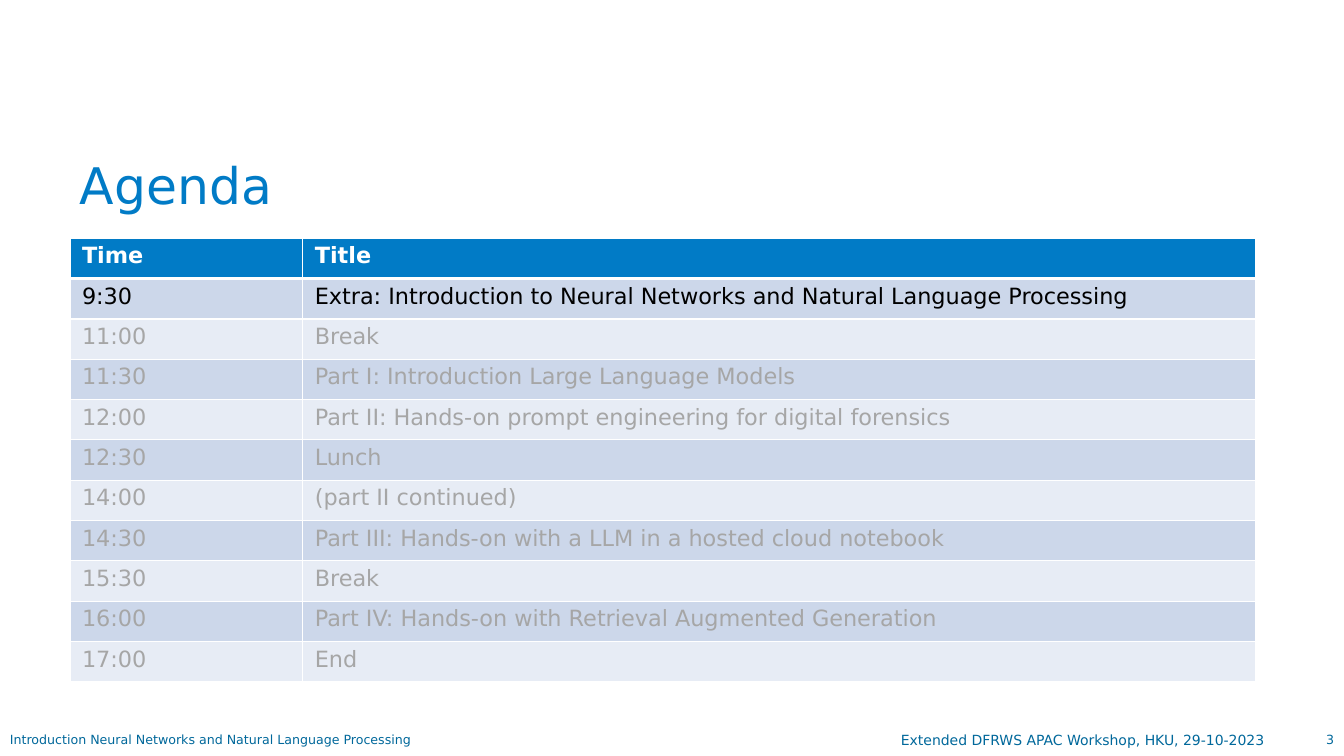
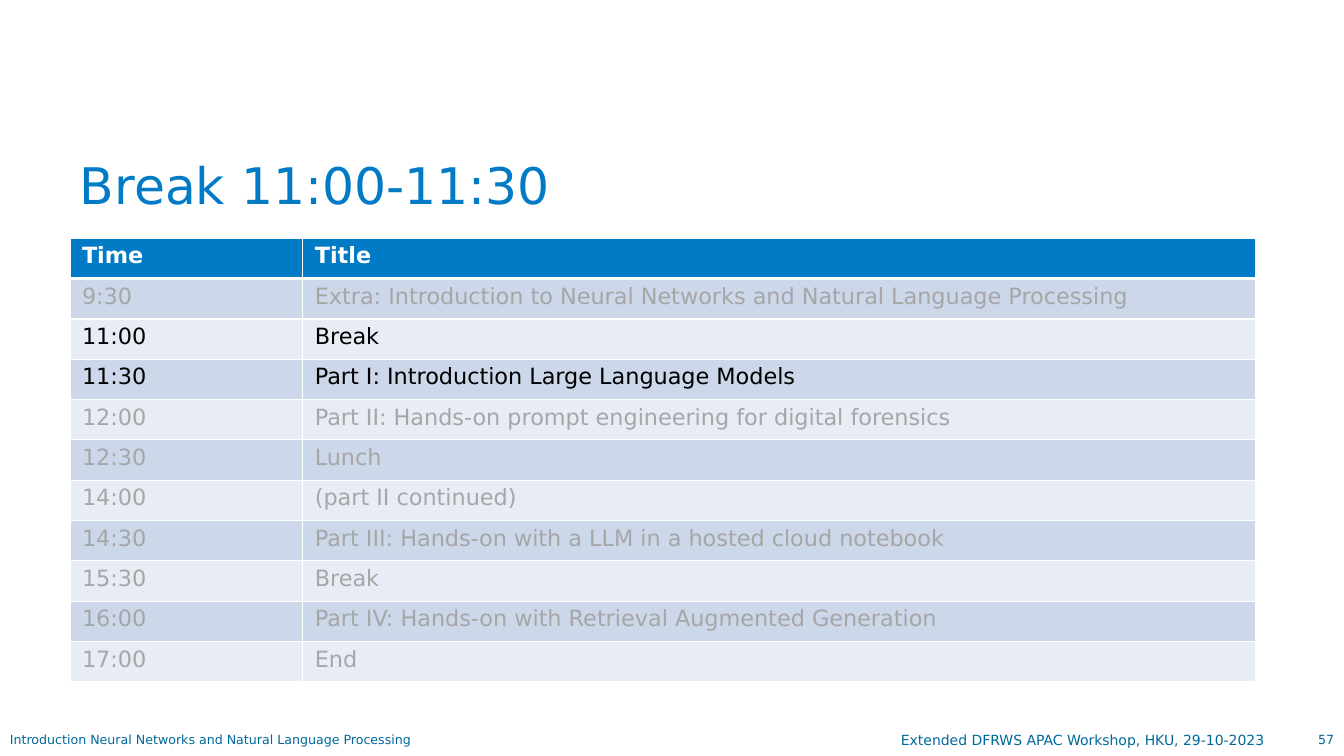
"""Build two agenda slides that highlight the current sessions."""
from dataclasses import dataclass

from lxml import etree
from pptx import Presentation
from pptx.dml.color import RGBColor
from pptx.enum.text import MSO_ANCHOR, PP_ALIGN
from pptx.oxml.ns import qn
from pptx.slide import Slide
from pptx.table import _Cell
from pptx.text.text import _Paragraph
from pptx.util import Pt

LEFT, RIGHT = PP_ALIGN.LEFT, PP_ALIGN.RIGHT
TOP, BOTTOM = MSO_ANCHOR.TOP, MSO_ANCHOR.BOTTOM

BLUE = RGBColor(0x01, 0x7B, 0xC6)
FOOTER_BLUE = RGBColor(0x01, 0x68, 0x9B)
WHITE = RGBColor(0xFF, 0xFF, 0xFF)
BLACK = RGBColor(0x00, 0x00, 0x00)
GREY = RGBColor(0xA6, 0xA6, 0xA6)
BANDS = (RGBColor(0xCC, 0xD7, 0xEA), RGBColor(0xE7, 0xEC, 0xF5))

FONT = "DejaVu Sans"
FOOTER_TOP, FOOTER_HEIGHT = 519.1, 20.9
TABLE_LEFT, TABLE_TOP = 50, 170.2
COLUMN_WIDTHS = (166.3, 680.4)
ROW_HEIGHT = 28.8
CELL_MARGINS = {"margin_left": 8.6, "margin_right": 8.6,
                "margin_top": 3.6, "margin_bottom": 3.6}

HEADER = ("Time", "Title")
SESSIONS = (
    ("9:30", "Extra: Introduction to Neural Networks and Natural Language Processing"),
    ("11:00", "Break"),
    ("11:30", "Part I: Introduction Large Language Models"),
    ("12:00", "Part II: Hands-on prompt engineering for digital forensics"),
    ("12:30", "Lunch"),
    ("14:00", "(part II continued)"),
    ("14:30", "Part III: Hands-on with a LLM in a hosted cloud notebook"),
    ("15:30", "Break"),
    ("16:00", "Part IV: Hands-on with Retrieval Augmented Generation"),
    ("17:00", "End"),
)


@dataclass(frozen=True)
class TextStyle:
    size: float
    color: RGBColor
    bold: bool = False


@dataclass(frozen=True)
class Label:
    left: float
    top: float
    width: float
    height: float
    style: TextStyle
    align: PP_ALIGN = LEFT
    anchor: MSO_ANCHOR = TOP
    line_spacing: float = 1.0


@dataclass(frozen=True)
class AgendaSlide:
    title: str
    number: int
    current: tuple[str, ...]


SMALL = TextStyle(9, FOOTER_BLUE)
TITLE = Label(50, 82.8, 860.4, 74.9, TextStyle(36, BLUE), LEFT, BOTTOM, 0.9)
TOPIC = Label(0, FOOTER_TOP, 511.9, FOOTER_HEIGHT, SMALL)
NUMBER = Label(910.3, FOOTER_TOP, 49.7, FOOTER_HEIGHT, SMALL, RIGHT)
EVENT = Label(563, FOOTER_TOP, 347, FOOTER_HEIGHT, TextStyle(10, FOOTER_BLUE), RIGHT)

SLIDES = (
    AgendaSlide("Agenda", 3, ("9:30",)),
    AgendaSlide("Break 11:00-11:30", 57, ("11:00", "11:30")),
)


def write(p: _Paragraph, text: str, style: TextStyle) -> None:
    r = p.add_run()
    r.text = text
    font_format = {"name": FONT, "size": Pt(style.size), "bold": style.bold}
    for name, value in font_format.items():
        setattr(r.font, name, value)
    r.font.color.rgb = style.color


def add_label(s: Slide, label: Label, text: str) -> None:
    box = s.shapes.add_textbox(Pt(label.left), Pt(label.top),
                               Pt(label.width), Pt(label.height))
    tf = box.text_frame
    tf.word_wrap = True
    tf.vertical_anchor = label.anchor
    p = tf.paragraphs[0]
    p.alignment = label.align
    p.line_spacing = label.line_spacing
    write(p, text, label.style)


def add_borders(cell: _Cell, bottom: float) -> None:
    properties = cell._tc.get_or_add_tcPr()
    for side, width in {"L": 1, "R": 1, "T": 1, "B": bottom}.items():
        line = etree.SubElement(properties, qn(f"a:ln{side}"), w=str(int(Pt(width))))
        fill = etree.SubElement(line, qn("a:solidFill"))
        etree.SubElement(fill, qn("a:srgbClr"), val=str(WHITE))


def fill_cell(cell: _Cell, text: str, style: TextStyle, color: RGBColor,
              bottom: float) -> None:
    for name, value in CELL_MARGINS.items():
        setattr(cell, name, Pt(value))
    add_borders(cell, bottom)
    cell.fill.solid()
    cell.fill.fore_color.rgb = color
    write(cell.text_frame.paragraphs[0], text, style)


def add_agenda(s: Slide, current: tuple[str, ...]) -> None:
    rows = (HEADER, *SESSIONS)
    table = s.shapes.add_table(len(rows), len(HEADER), Pt(TABLE_LEFT), Pt(TABLE_TOP),
                               Pt(sum(COLUMN_WIDTHS)), Pt(ROW_HEIGHT * len(rows))).table
    table.horz_banding = False
    for column, width in zip(table.columns, COLUMN_WIDTHS):
        column.width = Pt(width)
    for i, texts in enumerate(rows):
        table.rows[i].height = Pt(ROW_HEIGHT)
        if i == 0:
            style, color, bottom = TextStyle(16, WHITE, True), BLUE, 3
        else:
            style = TextStyle(16, BLACK if texts[0] in current else GREY)
            color, bottom = BANDS[(i - 1) % 2], 1
        for j, text in enumerate(texts):
            fill_cell(table.cell(i, j), text, style, color, bottom)


def main() -> None:
    prs = Presentation()
    prs.slide_width, prs.slide_height = Pt(960), Pt(540)
    for agenda in SLIDES:
        s = prs.slides.add_slide(prs.slide_layouts[6])
        add_label(s, TITLE, agenda.title)
        add_label(s, TOPIC, "Introduction Neural Networks and Natural Language Processing")
        add_label(s, NUMBER, str(agenda.number))
        add_label(s, EVENT, "Extended DFRWS APAC Workshop, HKU, 29-10-2023")
        add_agenda(s, agenda.current)
    prs.save("out.pptx")


if __name__ == "__main__":
    main()
